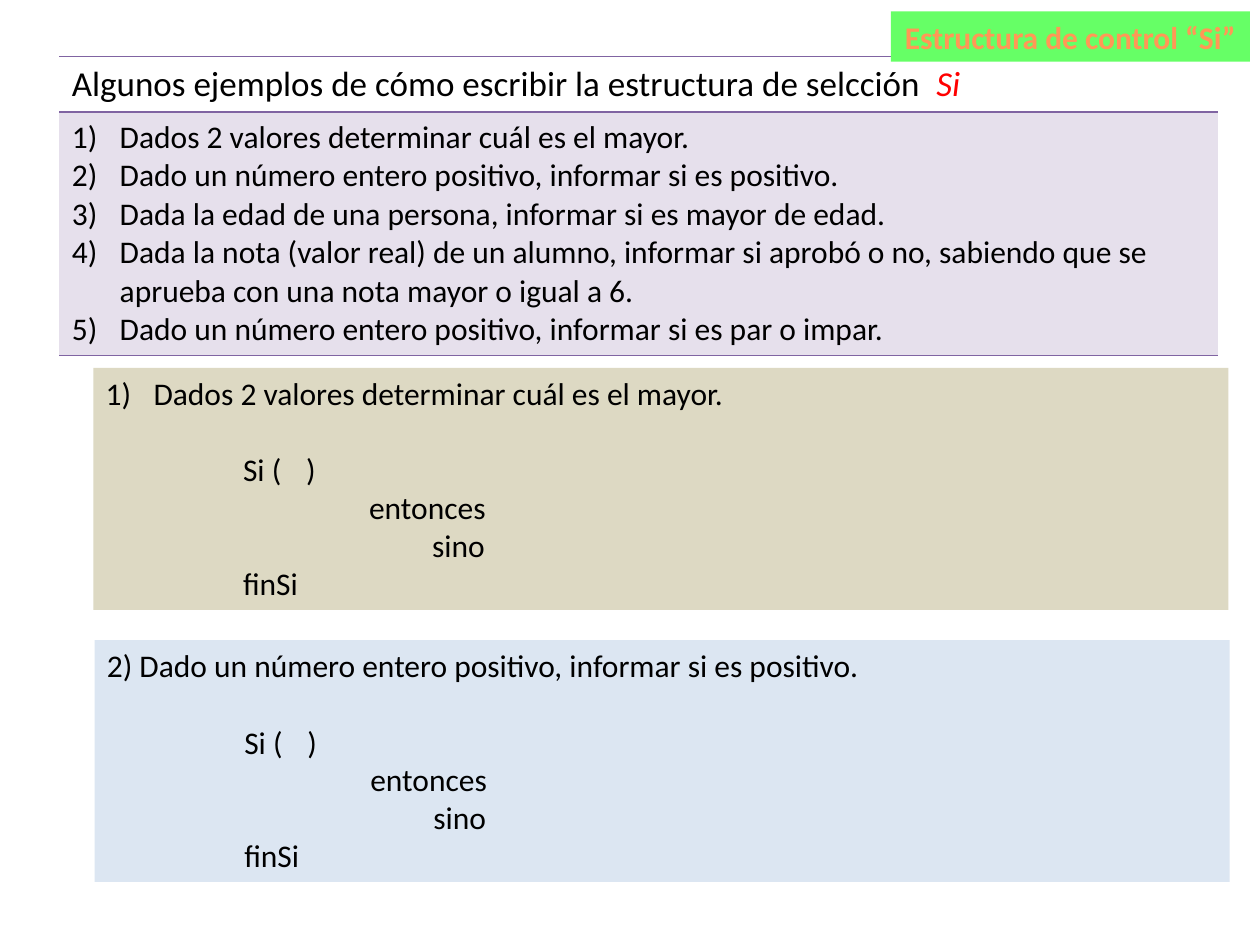
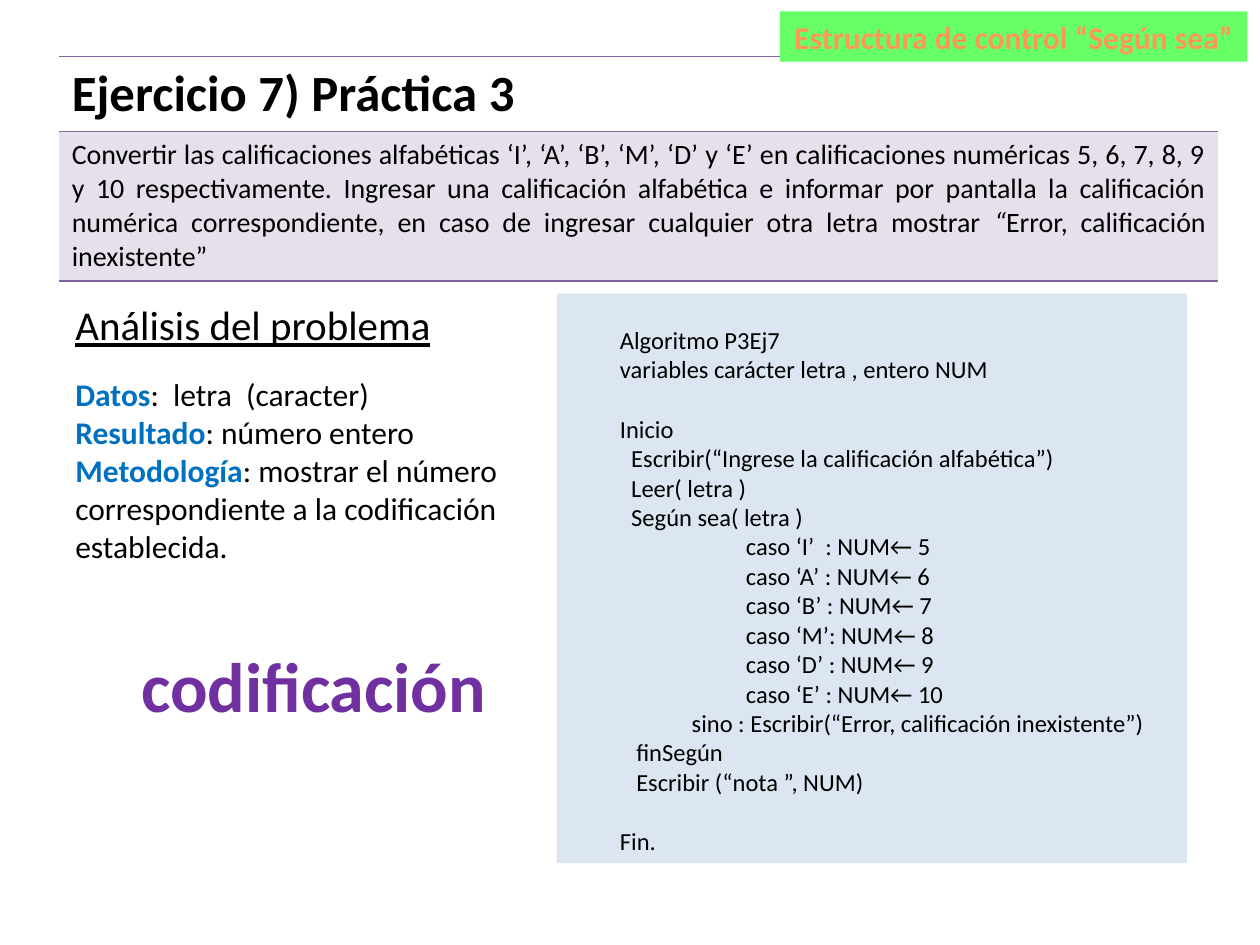
"""Build two slides on the control structures "Si" and "Según sea"."""
from dataclasses import dataclass

import pptx
import pptx.dml.color
import pptx.enum.shapes
import pptx.enum.text
import pptx.oxml
import pptx.oxml.ns
import pptx.util
from pptx.util import Inches

ALIGN = pptx.enum.text.PP_ALIGN
ANCHOR = pptx.enum.text.MSO_ANCHOR


@dataclass(frozen=True)
class Theme:
    font: str = "Calibri"
    ink: str = "000000"
    tag_fill: str = "66FF66"
    tag_ink: str = "FF9856"
    rule: str = "8064A2"
    statement_fill: str = "E6E0EC"
    tan: str = "DDD9C3"
    pale_blue: str = "DCE6F2"
    key: str = "0070C0"
    accent: str = "7030A0"
    red: str = "FF0000"
    body: float = 18
    code: float = 14
    statement: float = 16
    lead: float = 20
    section: float = 23.4
    exercise: float = 29
    banner: float = 40
    line_height: float = 1.22


THEME = Theme()
NO_TABLE_STYLE = "{2D5ABB26-0587-4C30-8999-92F81FD0307C}"
NUMBERED = {"indent": 0.38, "numbered": True}

PROBLEMS = [
    "Dados 2 valores determinar cuál es el mayor.",
    "Dado un número entero positivo, informar si es positivo.",
    "Dada la edad de una persona, informar si es mayor de edad.",
    "Dada la nota (valor real) de un alumno, informar si aprobó o no, "
    "sabiendo que se aprueba con una nota mayor o igual a 6.",
    "Dado un número entero positivo, informar si es par o impar.",
]
SI_SKELETON = [
    ("Si (\t)", {"indent": 1.09, "gap": True}),
    ("entonces", {"indent": 2.09}),
    ("sino", {"indent": 2.59}),
    ("finSi", {"indent": 1.09}),
]
SI_PANELS = [
    (0.74, 2.92, THEME.tan, (PROBLEMS[0], NUMBERED)),
    (0.75, 5.08, THEME.pale_blue, ("2) " + PROBLEMS[1], {})),
]
SI_HEADING = [("Algunos ejemplos de cómo escribir la estructura de selcción  ", {}),
              ("Si", {"color": THEME.red, "italic": True})]

STATEMENT = [
    ("Convertir las calificaciones alfabéticas ‘I’, ‘A’, ‘B’, ‘M’, ‘D’ y ‘E’ en "
     "calificaciones numéricas 5, 6, 7, 8, 9 y 10 respectivamente. Ingresar una "
     "calificación alfabética e informar por pantalla la calificación numérica "
     "correspondiente, en caso de ingresar cualquier otra letra mostrar ", {}),
    ("“", {"italic": True}),
    ("Error, calificación inexistente”", {}),
]
ANALYSIS = [
    ("Datos", ":  letra  (caracter)"),
    ("Resultado", ": número entero"),
    ("Metodología", ": mostrar el número correspondiente a la codificación establecida."),
]
CASES = ["‘I’  : NUM← 5", "‘A’ : NUM← 6", "‘B’ : NUM← 7",
         "‘M’: NUM← 8", "‘D’ : NUM← 9", "‘E’ : NUM← 10"]
ALGORITHM = [
    ("Algoritmo P3Ej7", {"indent": 0.5}),
    ("variables carácter letra , entero NUM", {"indent": 0.5}),
    ("Inicio", {"indent": 0.5, "gap": True}),
    ("Escribir(“Ingrese la calificación alfabética”)", {"indent": 0.59}),
    ("Leer( letra )", {"indent": 0.59}),
    ("Según sea( letra )", {"indent": 0.59}),
    *[("caso " + case, {"indent": 1.5}) for case in CASES],
    ("sino : Escribir(“Error, calificación inexistente”)", {"indent": 1.07}),
    ("finSegún", {"indent": 0.63}),
    ("Escribir (“nota ”, NUM)", {"indent": 0.63}),
    ("Fin.", {"indent": 0.5, "gap": True}),
]


def rgb(color):
    return pptx.dml.color.RGBColor.from_string(color)


def style_font(font, size=None, color=None, bold=None, italic=None, underline=None):
    if size:
        font.size = pptx.util.Pt(size)
        font.name = THEME.font
    if color:
        font.color.rgb = rgb(color)
    font.bold, font.italic, font.underline = bold, italic, underline


def write(frame, paragraphs, size, align=ALIGN.LEFT, color=THEME.ink, **style):
    """Write (text or runs, layout) pairs into a text frame."""
    for index, (content, layout) in enumerate(paragraphs):
        paragraph = frame.add_paragraph() if index else frame.paragraphs[0]
        paragraph.alignment = align
        style_font(paragraph.font, size, color, **style)
        if layout.get("gap"):
            paragraph.space_before = pptx.util.Pt(size * THEME.line_height)
        properties = paragraph._p.get_or_add_pPr()
        indent = Inches(layout.get("indent", 0))
        numbered = layout.get("numbered", False)
        properties.set("marL", str(indent))
        properties.set("indent", str(-indent if numbered else 0))
        if numbered:
            number = pptx.oxml.parse_xml(
                f'<a:buAutoNum {pptx.oxml.ns.nsdecls("a")} type="arabicParenR"/>')
            properties.insert_element_before(number, "a:tabLst", "a:defRPr", "a:extLst")
        for text, run_style in [(content, {})] if isinstance(content, str) else content:
            run = paragraph.add_run()
            run.text = text
            style_font(run.font, **{"size": size, "color": color, **style, **run_style})


def add_panel(slide, box, fill):
    panel = slide.shapes.add_shape(
        pptx.enum.shapes.MSO_SHAPE.RECTANGLE, *map(Inches, box))
    panel.shadow.inherit = False
    panel.fill.solid()
    panel.fill.fore_color.rgb = rgb(fill)
    panel.line.fill.background()
    panel.text_frame.word_wrap = True
    panel.text_frame.vertical_anchor = ANCHOR.TOP
    return panel.text_frame


def add_text(slide, box, paragraphs, size, anchor=ANCHOR.TOP, wrap=True, **style):
    frame = slide.shapes.add_textbox(*map(Inches, box)).text_frame
    frame.word_wrap = wrap
    frame.vertical_anchor = anchor
    write(frame, paragraphs, size, **style)


def add_tag(slide, text, left, width):
    frame = add_panel(slide, (left, 0.09, width, 0.4), THEME.tag_fill)
    frame.word_wrap = False
    write(frame, [(text, {})], THEME.body, ALIGN.CENTER, THEME.tag_ink, bold=True)


def draw_borders(cell, sides):
    properties = cell._tc.get_or_add_tcPr()
    for position, side in enumerate(sides):
        properties.insert(position, pptx.oxml.parse_xml(
            f'<a:ln{side} {pptx.oxml.ns.nsdecls("a")} w="12700"><a:solidFill>'
            f'<a:srgbClr val="{THEME.rule}"/></a:solidFill></a:ln{side}>'))


def add_statement_table(slide, row_heights):
    """Add the ruled two-row table and return its heading and body frames."""
    table = slide.shapes.add_table(
        2, 1, *map(Inches, (0.47, 0.45, 9.2, sum(row_heights)))).table
    table.first_row = table.horz_banding = False
    table._tbl.tblPr.find(pptx.oxml.ns.qn("a:tableStyleId")).text = NO_TABLE_STYLE
    for row, height in zip(table.rows, row_heights):
        row.height = Inches(height)
    heading, body = table.cell(0, 0), table.cell(1, 0)
    heading.fill.background()
    body.fill.solid()
    body.fill.fore_color.rgb = rgb(THEME.statement_fill)
    for cell in (heading, body):
        draw_borders(cell, "TB")
    return heading.text_frame, body.text_frame


def build_si_slide(slide):
    heading, body = add_statement_table(slide, (0.44, 1.93))
    write(heading, [(SI_HEADING, {})], THEME.lead)
    write(body, [(problem, NUMBERED) for problem in PROBLEMS], THEME.body)
    for left, top, fill, title in SI_PANELS:
        frame = add_panel(slide, (left, top, 9.01, 1.92), fill)
        write(frame, [title, *SI_SKELETON], THEME.body)
    add_tag(slide, "Estructura de control “Si”", 7.07, 2.85)


def build_segun_slide(slide):
    heading, body = add_statement_table(slide, (0.59, 1.18))
    write(heading, [("Ejercicio 7) Práctica 3", {})], THEME.exercise, bold=True)
    write(body, [(STATEMENT, {})], THEME.statement, ALIGN.JUSTIFY)
    add_text(slide, (0.5, 2.19, 3.07, 0.77), [("Análisis del problema", {})],
             THEME.section, ANCHOR.MIDDLE, underline=True)
    key_style = {"color": THEME.key, "bold": True}
    add_text(slide, (0.5, 2.93, 3.67, 1.62),
             [([(key, key_style), (detail, {})], {}) for key, detail in ANALYSIS],
             THEME.body)
    frame = add_panel(slide, (4.42, 2.33, 5, 4.52), THEME.pale_blue)
    frame.margin_left = frame.margin_right = frame.margin_bottom = 0
    frame.margin_top = Inches(0.25)
    write(frame, ALGORITHM, THEME.code)
    add_text(slide, (1, 5.05, 2.98, 0.77), [("codificación", {})], THEME.banner,
             wrap=False, align=ALIGN.CENTER, color=THEME.accent, bold=True)
    add_tag(slide, "Estructura de control “Según sea”", 6.19, 3.71)


def main():
    presentation = pptx.Presentation()
    presentation.slide_width, presentation.slide_height = Inches(10), Inches(7.5)
    for build in (build_si_slide, build_segun_slide):
        build(presentation.slides.add_slide(presentation.slide_layouts[6]))
    presentation.save("out.pptx")


if __name__ == "__main__":
    main()
